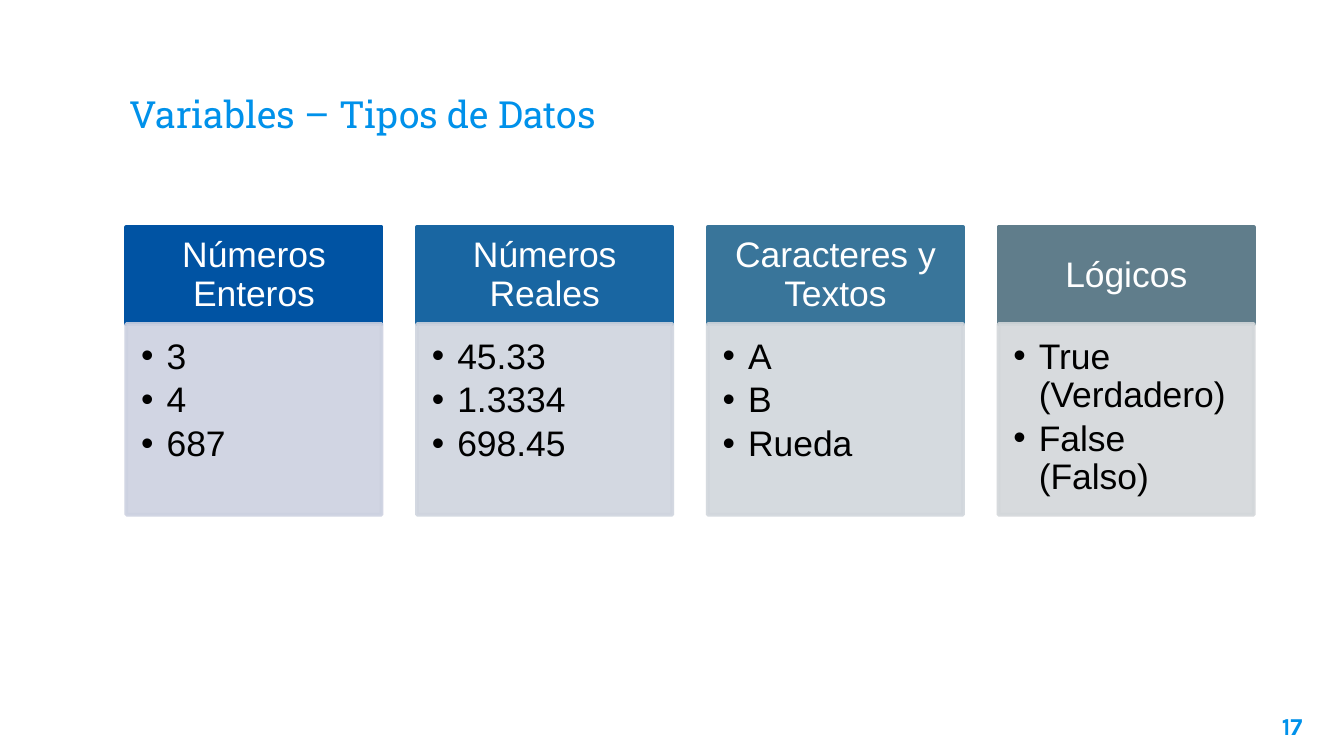
from dataclasses import dataclass

from lxml import etree
from pptx import Presentation
from pptx.dml.color import RGBColor
from pptx.enum.shapes import MSO_SHAPE
from pptx.enum.text import MSO_ANCHOR, MSO_AUTO_SIZE, PP_ALIGN
from pptx.oxml.ns import qn
from pptx.util import Inches, Pt

RECT = MSO_SHAPE.RECTANGLE
TOP, MIDDLE, BOTTOM = MSO_ANCHOR.TOP, MSO_ANCHOR.MIDDLE, MSO_ANCHOR.BOTTOM
LEFT, CENTER, RIGHT = PP_ALIGN.LEFT, PP_ALIGN.CENTER, PP_ALIGN.RIGHT


@dataclass(frozen=True)
class Theme:
    accent: str = "0091EA"
    white: str = "FFFFFF"
    black: str = "000000"
    title_font: str = "Roboto Slab"
    body_font: str = "Arial"
    number_font: str = "Karla"
    title_size: float = 20
    body_size: float = 19
    number_size: float = 13
    line_width: float = 2
    panel_opacity: int = 90


@dataclass(frozen=True)
class DataType:
    name: str
    examples: tuple[str, ...]
    header_color: str
    panel_color: str


THEME = Theme()
DATA_TYPES = (
    DataType("Números Enteros", ("3", "4", "687"), "0053A3", "CCD1E0"),
    DataType("Números Reales", ("45.33", "1.3334", "698.45"), "1966A2", "CFD4DE"),
    DataType("Caracteres y Textos", ("A", "B", "Rueda"), "39759A", "D1D6DC"),
    DataType("Lógicos", ("True (Verdadero)", "False (Falso)"), "607D8B", "D3D7DA"),
)

# Column grid, in inches
GRID_LEFT, GRID_RIGHT, GRID_TOP = 0.94, 9.33, 1.69
COLUMN_WIDTH = 1.9
COLUMN_STEP = (GRID_RIGHT - GRID_LEFT - COLUMN_WIDTH) / (len(DATA_TYPES) - 1)
HEADER_HEIGHT, PANEL_HEIGHT = 0.72, 1.42


def add_bullet(p, color: str) -> None:
    """Give a paragraph a hanging round bullet."""
    pPr = p._p.get_or_add_pPr()
    pPr.set("marL", str(Inches(0.19)))
    pPr.set("indent", str(-Inches(0.19)))
    buClr = etree.SubElement(pPr, qn("a:buClr"))
    etree.SubElement(buClr, qn("a:srgbClr"), val=color)
    etree.SubElement(pPr, qn("a:buFont"), typeface="Arial")
    etree.SubElement(pPr, qn("a:buChar"), char="•")


def write_text(sp, *lines: str, font: str, size: float, color: str,
               bold: bool = False, align=LEFT, anchor=TOP,
               insets: tuple[float, ...] = (0.1, 0.1, 0.1, 0.1),
               line_spacing: float = 1.0, space_after: float = 0,
               bullets: bool = False) -> None:
    """Fill a shape with one formatted paragraph per line."""
    tf = sp.text_frame
    tf.word_wrap = True
    tf.auto_size = MSO_AUTO_SIZE.NONE
    tf.vertical_anchor = anchor
    (tf.margin_left, tf.margin_top,
     tf.margin_right, tf.margin_bottom) = map(Inches, insets)
    for i, line in enumerate(lines):
        p = tf.add_paragraph() if i else tf.paragraphs[0]
        p.alignment = align
        p.line_spacing = line_spacing
        p.space_before = Pt(0)
        p.space_after = Pt(space_after)
        if bullets:
            p.level = 1
            add_bullet(p, color)
        r = p.add_run()
        r.text = line
        r.font.name = font
        r.font.size = Pt(size)
        r.font.bold = bold
        r.font.color.rgb = RGBColor.from_string(color)


def add_box(s, left: float, top: float, height: float, color: str,
            opacity: int = 100):
    """Draw a column-wide rectangle with matching fill and outline."""
    sp = s.shapes.add_shape(RECT, Inches(left), Inches(top),
                            Inches(COLUMN_WIDTH), Inches(height))
    sp.shadow.inherit = False
    sp.line.width = Pt(THEME.line_width)
    for fill in (sp.fill, sp.line.fill):
        fill.solid()
        fill.fore_color.rgb = RGBColor.from_string(color)
    if opacity < 100:
        for clr in sp._element.spPr.iter(qn("a:srgbClr")):
            etree.SubElement(clr, qn("a:alpha"), val=str(opacity * 1000))
    return sp


def add_column(s, index: int, data_type: DataType) -> None:
    """Draw the header and the list of examples of one data type."""
    left = GRID_LEFT + index * COLUMN_STEP
    header = add_box(s, left, GRID_TOP, HEADER_HEIGHT, data_type.header_color)
    write_text(header, data_type.name, font=THEME.body_font,
               size=THEME.body_size, color=THEME.white, align=CENTER,
               anchor=MIDDLE, insets=(0.15, 0.08, 0.15, 0.08), line_spacing=0.9)
    panel = add_box(s, left, GRID_TOP + HEADER_HEIGHT, PANEL_HEIGHT,
                    data_type.panel_color, THEME.panel_opacity)
    write_text(panel, *data_type.examples, font=THEME.body_font,
               size=THEME.body_size, color=THEME.black,
               insets=(0.11, 0.11, 0.15, 0.17), line_spacing=0.9,
               space_after=0.15 * THEME.body_size, bullets=True)


def main() -> None:
    prs = Presentation()
    prs.slide_width = Inches(10)
    prs.slide_height = prs.slide_width * 9 // 16
    s = prs.slides.add_slide(prs.slide_layouts[5])

    # Title
    title = s.shapes.title
    title.left, title.top = Inches(0.86), Inches(0.34)
    title.width, title.height = Inches(8.28), Inches(0.77)
    write_text(title, "Variables – Tipos de Datos", font=THEME.title_font,
               size=THEME.title_size, color=THEME.accent, anchor=BOTTOM)

    # Data type columns
    for i, data_type in enumerate(DATA_TYPES):
        add_column(s, i, data_type)

    # Page number
    number = s.shapes.add_textbox(Inches(9.19), Inches(5.19),
                                  Inches(0.6), Inches(0.43))
    write_text(number, "17", font=THEME.number_font, size=THEME.number_size,
               color=THEME.accent, bold=True, align=RIGHT)

    prs.save("out.pptx")


if __name__ == "__main__":
    main()
